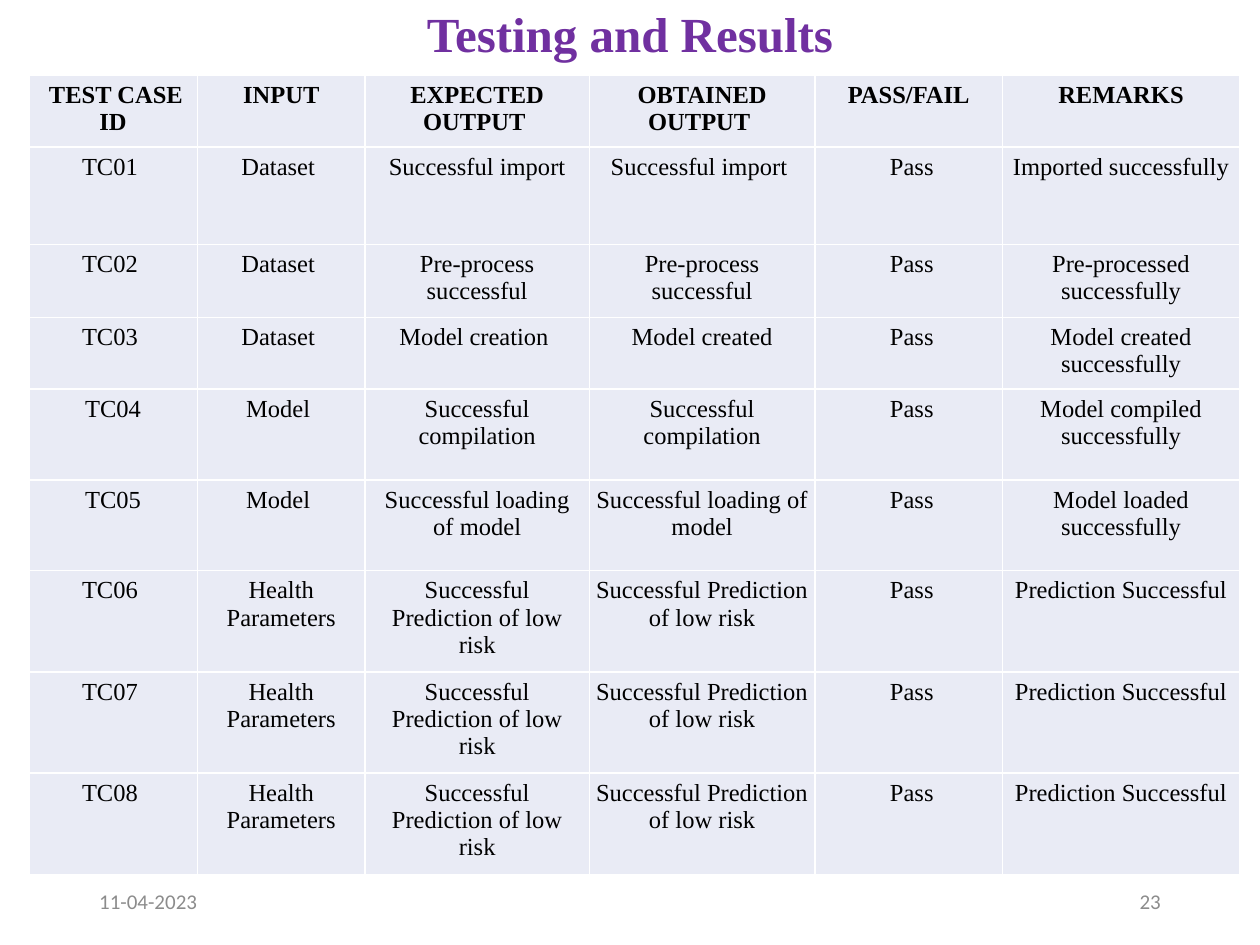
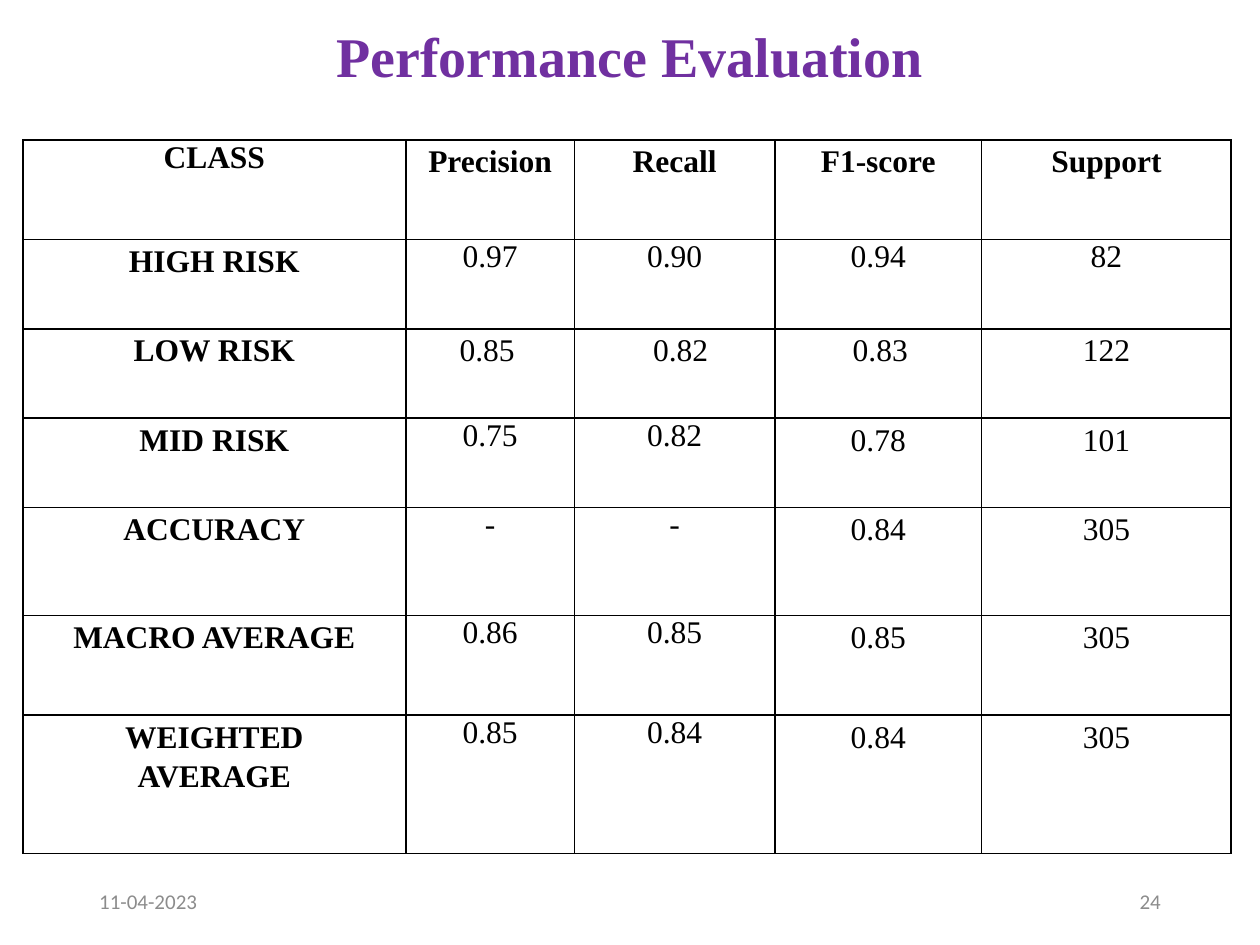
from lxml import etree
from pptx import Presentation
from pptx.dml.color import RGBColor
from pptx.enum.text import MSO_ANCHOR, PP_ALIGN
from pptx.oxml.ns import qn
from pptx.util import Cm, Pt

COLORS = {
    "title": "7030A0",
    "text": "000000",
    "footer": "8C8C8C",
    "test_cell": "E9EBF5",
    "white": "FFFFFF",
    "grid": "000000",
}
SERIF = "Times New Roman"
SANS = "Calibri"
DATE = "11-04-2023"

LOW_RISK = "Successful Prediction of low risk"
TEST_ROWS = [
    (" TEST CASE ID", "INPUT", "EXPECTED OUTPUT ", "OBTAINED OUTPUT ", "PASS/FAIL", "REMARKS"),
    ("TC01 ", "Dataset ", "Successful import", "Successful import ", " Pass",
     "Imported successfully"),
    ("TC02 ", "Dataset ", "Pre-process successful", "Pre-process successful", " Pass",
     "Pre-processed successfully"),
    ("TC03 ", "Dataset ", "Model creation ", "Model created", " Pass",
     "Model created successfully"),
    ("TC04", "Model ", "Successful compilation", "Successful compilation", " Pass",
     "Model compiled successfully"),
    ("TC05", "Model ", "Successful loading of model", "Successful loading of model", " Pass",
     "Model loaded successfully"),
] + [
    (f"{case} ", "Health Parameters", LOW_RISK, LOW_RISK, " Pass", "Prediction Successful")
    for case in ("TC06", "TC07", "TC08")
]
TEST_WIDTHS = (3.4, 3.38, 4.52, 4.55, 3.78, 4.78)
TEST_HEIGHTS = (1.37, 1.96, 1.47, 1.37, 1.83, 1.83, 1.96, 1.96, 1.96)

SCORE_ROWS = [
    ("CLASS", "Precision", "Recall", "F1-score", "Support"),
    ("HIGH RISK", "0.97", "0.90", "0.94", "82"),
    ("LOW RISK", "0.85", "0.82", "0.83", "122"),
    ("MID RISK", "0.75", "0.82", "0.78", "101"),
    ("ACCURACY", "-", "-", "0.84", "305"),
    ("MACRO AVERAGE", "0.86", "0.85", "0.85", "305"),
    ("WEIGHTED AVERAGE", "0.85", "0.84", "0.84", "305"),
]
SCORE_WIDTHS = (7.72, 3.4, 4.04, 4.17, 5.03)
SCORE_HEIGHTS = (2.01, 1.8, 1.8, 1.8, 2.18, 2.01, 2.79)
SCORE_INDENTS = (0.36, 0.15, 0.74, 0.41, 0.71)
# (left, right) indents of the low-risk scores
LOW_RISK_INDENTS = {1: (0, 0.12), 2: (0.24, 0), 3: (0.08, 0)}


def style_text(para, size, color, font=SERIF, bold=False, align=PP_ALIGN.CENTER):
    para.alignment = align
    for span in para.runs:
        span.font.name = font
        span.font.size = Pt(size)
        span.font.bold = bold
        span.font.color.rgb = RGBColor.from_string(COLORS[color])


def add_text(page, box, text, size, color, **style):
    frame = page.shapes.add_textbox(*map(Cm, box)).text_frame
    frame.word_wrap = True
    frame.vertical_anchor = MSO_ANCHOR.MIDDLE
    frame.text = text
    style_text(frame.paragraphs[0], size, color, **style)
    return frame.paragraphs[0]


def add_page(deck, title, title_top, title_size, number):
    """Add a blank slide with the shared title, date and slide number."""
    page = deck.slides.add_slide(deck.slide_layouts[6])
    para = add_text(page, (1.75, title_top, 21.9, 1.47), title, title_size, "title", bold=True)
    para.line_spacing = 0.9
    for left, text, align in ((1.75, DATE, PP_ALIGN.LEFT), (17.93, str(number), PP_ALIGN.RIGHT)):
        add_text(page, (left, 17.65, 5.72, 1.02), text, 12, "footer", font=SANS, align=align)
    return page


def set_borders(cell, color):
    properties = cell._tc.get_or_add_tcPr()
    for index, side in enumerate(("lnL", "lnR", "lnT", "lnB")):
        line = etree.Element(qn(f"a:{side}"), w=str(Pt(1)))
        fill = etree.SubElement(line, qn("a:solidFill"))
        etree.SubElement(fill, qn("a:srgbClr"), val=COLORS[color])
        properties.insert(index, line)


def indent(para, left, right):
    properties = para._p.get_or_add_pPr()
    properties.set("marL", str(Cm(left)))
    properties.set("marR", str(Cm(right)))


def add_grid(page, left, top, rows, widths, heights, size, fill, border, margins, bold_column):
    """Add a plain table; its header row, and optionally its first column, is bold."""
    frame = page.shapes.add_table(len(rows), len(widths), Cm(left), Cm(top),
                                  Cm(sum(widths)), Cm(sum(heights)))
    table = frame.table
    table.first_row = table.horz_banding = False
    for column, width in zip(table.columns, widths):
        column.width = Cm(width)
    for row, height in zip(table.rows, heights):
        row.height = Cm(height)
    side, edge = map(Cm, margins)
    for r, texts in enumerate(rows):
        for c, text in enumerate(texts):
            cell = table.cell(r, c)
            cell.text = text
            cell.margin_left = cell.margin_right = side
            cell.margin_top = cell.margin_bottom = edge
            cell.fill.solid()
            cell.fill.fore_color.rgb = RGBColor.from_string(COLORS[fill])
            set_borders(cell, border)
            bold = r == 0 or (bold_column and c == 0)
            style_text(cell.text_frame.paragraphs[0], size, "text", bold=bold)
    return table


def add_testing_page(deck):
    page = add_page(deck, "Testing and Results", 0, 28, 23)
    add_grid(page, 0.58, 1.52, TEST_ROWS, TEST_WIDTHS, TEST_HEIGHTS, 14,
             "test_cell", "white", (0.13, 0.13), False)


def add_performance_page(deck):
    page = add_page(deck, "Performance Evaluation", 0.46, 32, 24)
    table = add_grid(page, 0.46, 2.82, SCORE_ROWS, SCORE_WIDTHS, SCORE_HEIGHTS, 18,
                     "white", "grid", (0.18, 0), True)
    for r in range(len(SCORE_ROWS)):
        for c, margin in enumerate(SCORE_INDENTS):
            is_label = (r == 0) != (c == 0)
            if is_label or r == 2 or (r > 2 and c > 2):
                para = table.cell(r, c).text_frame.paragraphs[0]
                para.line_spacing = 1.14
                sides = LOW_RISK_INDENTS.get(c) if r == 2 else None
                indent(para, *(sides or (margin, margin)))


def main():
    deck = Presentation()
    deck.slide_width, deck.slide_height = Cm(25.4), Cm(19.05)
    add_testing_page(deck)
    add_performance_page(deck)
    deck.save("out.pptx")


if __name__ == "__main__":
    main()
